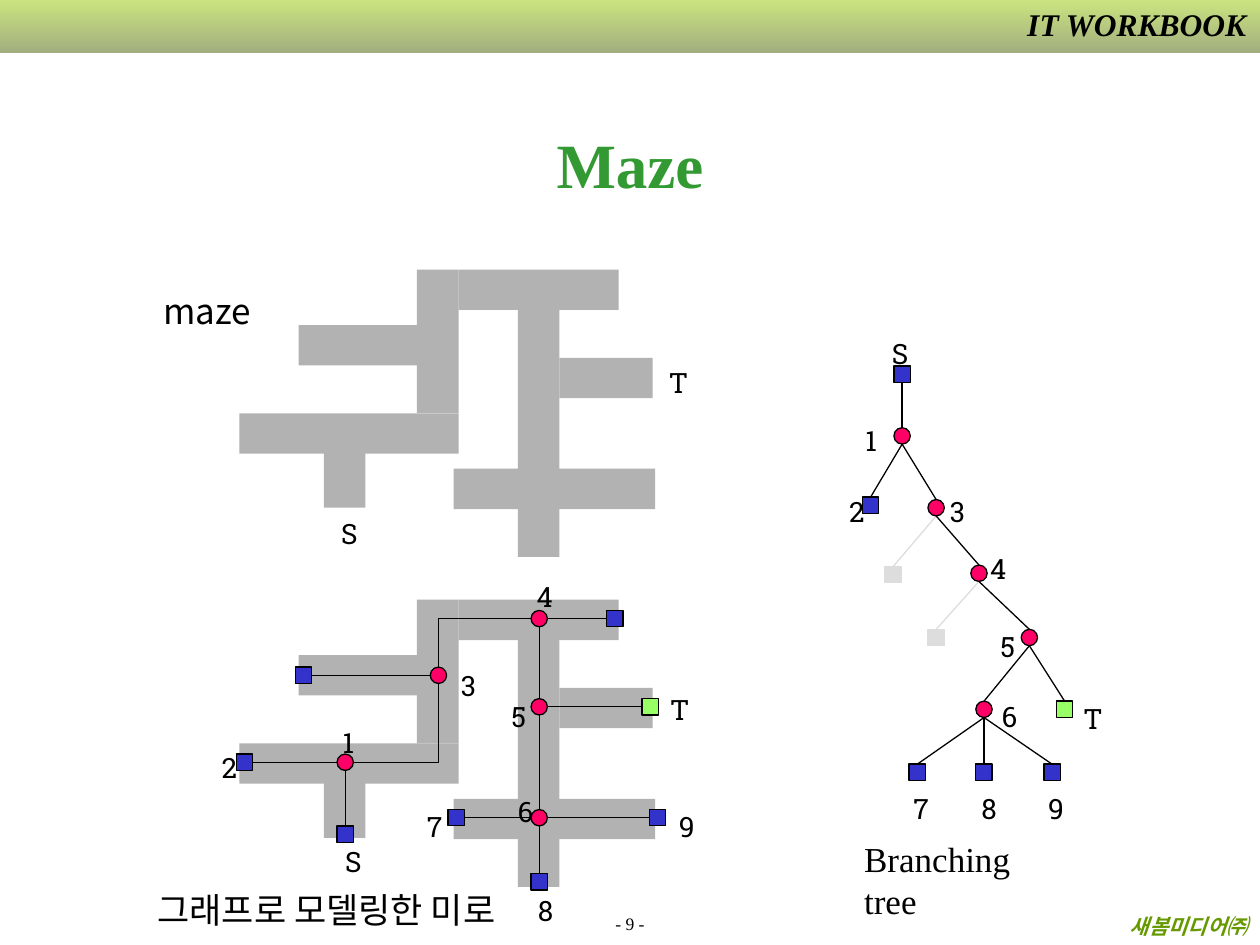
from dataclasses import dataclass

from lxml import etree
from pptx import Presentation
from pptx.dml.color import RGBColor
from pptx.enum import shapes, text
from pptx.oxml import ns
from pptx.util import Emu, Inches, Pt

BLACK = RGBColor(0x00, 0x00, 0x00)
WHITE = RGBColor(0xFF, 0xFF, 0xFF)
GRAY = RGBColor(0xB2, 0xB2, 0xB2)
PALE = RGBColor(0xDD, 0xDD, 0xDD)
PINK = RGBColor(0xFF, 0x00, 0x66)
BLUE = RGBColor(0x33, 0x33, 0xCC)
LIME = RGBColor(0x99, 0xFF, 0x66)
GREEN = RGBColor(0x33, 0x99, 0x33)
OLIVE = RGBColor(0x66, 0x99, 0x00)
BAR_TOP = RGBColor(0x99, 0xCC, 0x00)
BAR_END = RGBColor(0x46, 0x5E, 0x00)

SERIF, SLAB, SANS = "Times New Roman", "Roboto Slab", "Noto Sans CJK KR"
RECT, OVAL = shapes.MSO_SHAPE.RECTANGLE, shapes.MSO_SHAPE.OVAL
LEFT, MID, RIGHT = text.PP_ALIGN.LEFT, text.PP_ALIGN.CENTER, text.PP_ALIGN.RIGHT
SIDE = 0.13
HALF = SIDE / 2
DROP = 2.62  # from the plain maze down to the modelled one


@dataclass
class Node:
    """A centre, a fill and, where there is a label, its left and top."""
    x: float
    y: float
    fill: RGBColor
    label: str = ""
    left: float = 0
    top: float = 0


@dataclass
class Font:
    name: str
    size: int
    color: RGBColor = BLACK
    bold: bool = False
    slant: bool = False


def style(par, font: Font, align=LEFT) -> None:
    par.alignment = align
    par.font.name, par.font.size = font.name, Pt(font.size)
    par.font.bold, par.font.italic = font.bold, font.slant
    par.font.color.rgb = font.color


def write(slide, words: str, box: tuple, font: Font, align=LEFT, wrap=False):
    frame = slide.shapes.add_textbox(*map(Inches, box)).text_frame
    frame.word_wrap = wrap
    frame.text = words
    style(frame.paragraphs[0], font, align)
    return frame


def block(slide, kind, box: tuple, fill: RGBColor, edge: RGBColor | None = None) -> None:
    shape = slide.shapes.add_shape(kind, *map(Inches, box))
    shape.shadow.inherit = False
    shape.fill.solid()
    shape.fill.fore_color.rgb = fill
    if edge is None:
        shape.line.fill.background()
    else:
        shape.line.color.rgb, shape.line.width = edge, Pt(0.75)


def link(slide, start: tuple, end: tuple, color: RGBColor = BLACK) -> None:
    line = slide.shapes.add_connector(
        shapes.MSO_CONNECTOR.STRAIGHT, *map(Inches, start + end))
    line.line.color.rgb, line.line.width = color, Pt(0.75)
    etree.SubElement(line._element.spPr, ns.qn("a:effectLst"))


def bend(slide, *points: tuple) -> None:
    first, *rest = [tuple(map(Inches, point)) for point in points]
    form = slide.shapes.build_freeform(*first, scale=1.0)
    form.add_line_segments(rest, close=False)
    shape = form.convert_to_shape()
    shape.shadow.inherit = False
    shape.fill.background()
    shape.line.color.rgb, shape.line.width = BLACK, Pt(0.75)


def draw_nodes(slide, nodes: dict[str, Node]) -> None:
    for node in nodes.values():
        kind = OVAL if node.fill == PINK else RECT
        edge = PALE if node.fill == PALE else BLACK
        block(slide, kind, (node.x - HALF, node.y - HALF, SIDE, SIDE), node.fill, edge)
        if node.label:
            write(slide, node.label, (node.left, node.top, 0.32, 0.37), Font(SLAB, 16))


def draw_maze(slide, down: float = 0) -> None:
    for left, top, width, height in HALLS:
        block(slide, RECT, (left, top + down, width, height), GRAY)


HALLS = [
    (3.6, 3.72, 1.6, 0.32), (2.57, 3.59, 0.33, 0.44), (3.31, 2.14, 0.33, 1.14),
    (2.37, 2.58, 0.94, 0.32), (3.64, 2.14, 1.27, 0.32), (4.11, 2.46, 0.33, 1.96),
    (4.44, 2.84, 0.74, 0.32), (1.9, 3.28, 1.74, 0.32),
]

GRAPH = {
    "S": Node(2.74, 6.62, BLUE, "S", 2.64, 6.65),
    "1": Node(2.74, 6.05, PINK, "1", 2.62, 5.71),
    "2": Node(1.94, 6.05, BLUE, "2", 1.66, 5.91),
    "3": Node(3.48, 5.36, PINK, "3", 3.56, 5.26),
    "4": Node(4.28, 4.91, PINK, "4", 4.16, 4.55),
    "5": Node(4.28, 5.61, PINK, "5", 3.96, 5.5),
    "6": Node(4.28, 6.49, PINK, "6", 4.01, 6.26),
    "7": Node(3.62, 6.49, BLUE, "7", 3.29, 6.38),
    "8": Node(4.28, 7, BLUE, "8", 4.17, 7.04),
    "9": Node(5.22, 6.49, BLUE, "9", 5.29, 6.38),
    "T": Node(5.16, 5.61, LIME, "T", 5.22, 5.45),
    "a": Node(2.41, 5.36, BLUE),
    "b": Node(4.88, 4.91, BLUE),
}
# Each pair runs rightward or downward
PATHS = "21 1S a3 4b 45 5T 56 76 69 68"

TREE = {
    "S": Node(7.16, 2.97, BLUE, "S", 6.98, 2.62),
    "1": Node(7.16, 3.46, PINK, "1", 6.77, 3.31),
    "2": Node(6.91, 4.01, BLUE, "2", 6.64, 3.88),
    "3": Node(7.43, 4.03, PINK, "3", 7.44, 3.88),
    "4": Node(7.77, 4.55, PINK, "4", 7.76, 4.33),
    "5": Node(8.17, 5.06, PINK, "5", 7.84, 4.95),
    "6": Node(7.81, 5.63, PINK, "6", 7.85, 5.5),
    "7": Node(7.28, 6.13, BLUE, "7", 7.15, 6.23),
    "8": Node(7.81, 6.13, BLUE, "8", 7.69, 6.23),
    "9": Node(8.35, 6.13, BLUE, "9", 8.22, 6.23),
    "T": Node(8.45, 5.63, LIME, "T", 8.5, 5.52),
    "a": Node(7.09, 4.56, PALE),
    "b": Node(7.43, 5.06, PALE),
}
LIMBS = "S1 12 13 3a 34 4b 45 56 5T 67 68 69"


def draw_frame(slide) -> None:
    # Half-clear gradient bar
    bar = slide.shapes.add_shape(RECT, Emu(0), Emu(0), Inches(10), Inches(0.42))
    bar.shadow.inherit = False
    bar.line.fill.background()
    bar.fill.gradient()
    bar.fill.gradient_angle = 270
    for stop, color in zip(bar.fill.gradient_stops, (BAR_TOP, BAR_END)):
        stop.color.rgb = color
    for tint in bar._element.spPr.iter(ns.qn("a:srgbClr")):
        etree.SubElement(tint, ns.qn("a:alpha"), val="50000")

    # Series name with a white text shadow
    head = write(slide, "IT WORKBOOK", (7.88, -0.01, 2.11, 0.4),
                 Font(SERIF, 18, bold=True, slant=True), RIGHT, True)
    props = head.paragraphs[0].runs[0].font._element
    glow = etree.SubElement(etree.SubElement(props, ns.qn("a:effectLst")),
                            ns.qn("a:outerShdw"), dist="17961", dir="2700000")
    etree.SubElement(glow, ns.qn("a:srgbClr"), val=str(WHITE))

    # Footer
    page = write(slide, "- 9 -", (0, 7.24, 10, 0.22), Font(SERIF, 10), MID, True)
    page.vertical_anchor = text.MSO_ANCHOR.BOTTOM
    write(slide, "새봄미디어㈜", (0.06, 7.2, 9.94, 0.3),
          Font(SERIF, 12, OLIVE, True, True), RIGHT, True)

    # Title
    title = slide.shapes.title
    title.left, title.top, title.width, title.height = map(Inches, (0.75, 0.67, 8.5, 1.25))
    title.text_frame.text = "Maze"
    title.text_frame.vertical_anchor = text.MSO_ANCHOR.MIDDLE
    style(title.text_frame.paragraphs[0], Font(SERIF, 36, GREEN, True), MID)


def draw_graph(slide) -> None:
    for start, end in PATHS.split():
        a, b = GRAPH[start], GRAPH[end]
        dx, dy = (HALF, 0) if a.y == b.y else (0, HALF)
        link(slide, (a.x + dx, a.y + dy), (b.x - dx, b.y - dy))
    one, three, four = (GRAPH[key] for key in "134")
    bend(slide, (one.x + HALF, one.y), (three.x, one.y), (three.x, three.y + HALF))
    bend(slide, (three.x, three.y - HALF), (three.x, four.y), (four.x - HALF, four.y))
    draw_nodes(slide, GRAPH)


def draw_tree(slide) -> None:
    for start, end in LIMBS.split():
        a, b = TREE[start], TREE[end]
        link(slide, (a.x, a.y + HALF), (b.x, b.y - HALF),
             PALE if b.fill == PALE else BLACK)
    draw_nodes(slide, TREE)


def main() -> None:
    deck = Presentation()
    deck.slide_width, deck.slide_height = Inches(10), Inches(7.5)
    slide = deck.slides.add_slide(deck.slide_layouts[5])
    draw_frame(slide)

    # Plain maze above, the same maze as a graph below
    draw_maze(slide)
    write(slide, "S", (2.61, 4.05, 0.32, 0.37), Font(SLAB, 16))
    write(slide, "T", (5.21, 2.85, 0.32, 0.37), Font(SLAB, 16))
    draw_maze(slide, DROP)
    draw_graph(slide)
    draw_tree(slide)

    # Captions
    write(slide, "maze", (1.2, 2.25, 0.9, 0.44), Font(SANS, 20))
    write(slide, "그래프로 모델링한 미로", (1.15, 7, 2.91, 0.44), Font(SANS, 20))
    write(slide, "Branching tree", (6.76, 6.6, 1.84, 0.44), Font(SERIF, 20))
    deck.save("out.pptx")


if __name__ == "__main__":
    main()
